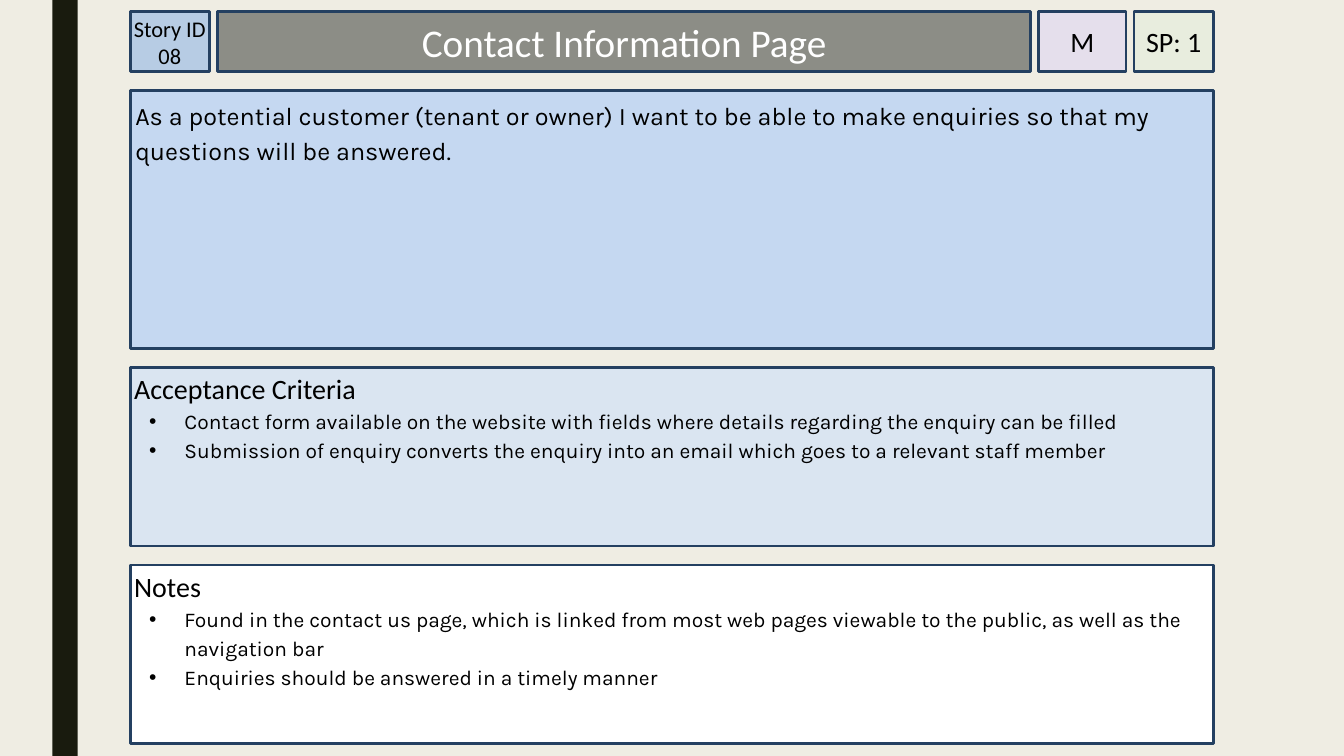
from lxml.etree import SubElement
from pptx import Presentation
from pptx.dml.color import RGBColor as RGB
from pptx.enum.shapes import MSO_SHAPE as Shape
from pptx.enum.text import MSO_ANCHOR as Anchor, PP_ALIGN as Align
from pptx.oxml.ns import qn
from pptx.util import Cm, Pt

PAPER = RGB(0xEF, 0xED, 0xE3)
DARK = RGB(0x19, 0x1B, 0x0E)
NAVY = RGB(0x24, 0x40, 0x61)
BLACK = RGB(0, 0, 0)
WHITE = RGB(0xFF, 0xFF, 0xFF)
STEEL = RGB(0xB7, 0xCC, 0xE4)
GREY = RGB(0x8C, 0x8D, 0x86)
LILAC = RGB(0xE5, 0xDF, 0xEC)
GREEN = RGB(0xCC, 0xF0, 0xCD)
BLUE = RGB(0xC5, 0xD8, 0xF1)
PALE = RGB(0xDA, 0xE5, 0xF1)

# Text formats; the two-line ID is set smaller to fit its cell
CODE = {"name": "Calibri", "size": Pt(16)}
LABEL = {"name": "Calibri", "size": Pt(20)}
TITLE = {"name": "Calibri", "size": Pt(28)}
STORY = {"name": "Karla", "size": Pt(18)}
ITEM = {"name": "Karla", "size": Pt(15)}

# Header cells: width, fill, text, format, text colour, inset
HEAD = [
    (2, STEEL, "Story ID 08", CODE, BLACK, 0),
    (20.5, GREY, "Contact Information Page", TITLE, WHITE, 0.13),
    (2.2, LILAC, "M", LABEL, BLACK, 0),
    (2, GREEN, "SP: 1", LABEL, BLACK, 0),
]
# Panels: height, fill, inset, lines of (text, format)
PANELS = [
    (6.5, BLUE, 0.13, [
        ("As a potential customer (tenant or owner) I want to be able to make "
         "enquiries so that my questions will be answered.", STORY)]),
    (4.5, PALE, 0.1, [
        ("Acceptance Criteria", LABEL),
        ("Contact form available on the website with fields where details "
         "regarding the enquiry can be filled", ITEM),
        ("Submission of enquiry converts the enquiry into an email which goes "
         "to a relevant staff member", ITEM)]),
    (4.5, WHITE, 0.1, [
        ("Notes", LABEL),
        ("Found in the contact us page, which is linked from most web pages "
         "viewable to the public, as well as the navigation bar", ITEM),
        ("Enquiries should be answered in a timely manner", ITEM)]),
]
LEFT, TOP, ROW = 3.28, 0.3, 1.5
HGAP, VGAP = 0.2, 0.48

deck = Presentation()
deck.slide_width, deck.slide_height = Cm(33.87), Cm(19.05)
slide = deck.slides.add_slide(deck.slide_layouts[6])
slide.background.fill.solid()
slide.background.fill.fore_color.rgb = PAPER


def add_box(x, y, w, h, fill, line=NAVY):
    box = slide.shapes.add_shape(Shape.RECTANGLE, Cm(x), Cm(y), Cm(w), Cm(h))
    box.shadow.inherit = False
    box.fill.solid()
    box.fill.fore_color.rgb = fill
    if line is None:
        box.line.fill.background()
    else:
        box.line.color.rgb = line
        box.line.width = Pt(2)
    return box


def add_bullet(para):
    props = para._p.get_or_add_pPr()
    props.set("marL", str(Cm(1.27)))
    props.set("indent", str(Cm(-0.89)))
    SubElement(props, qn("a:buFont"), typeface="Arial")
    SubElement(props, qn("a:buChar"), char="•")


def write(box, lines, color, inset, anchor, align):
    frame = box.text_frame
    frame.word_wrap = True
    frame.vertical_anchor = anchor
    for side in ("left", "top", "right", "bottom"):
        setattr(frame, "margin_" + side, Cm(inset))
    for i, (text, style) in enumerate(lines):
        para = frame.add_paragraph() if i else frame.paragraphs[0]
        para.alignment = align
        if style["name"] == "Karla":
            para.line_spacing = 1.15
        if style is ITEM:
            add_bullet(para)
        run = para.add_run()
        run.text = text
        run.font.color.rgb = color
        for key, value in style.items():
            setattr(run.font, key, value)


# Side band
add_box(1.32, 0, 0.64, 19.05, DARK, None)

# Header row
x = LEFT
for w, fill, text, style, color, inset in HEAD:
    cell = add_box(x, TOP, w, ROW, fill)
    write(cell, [(text, style)], color, inset, Anchor.MIDDLE, Align.CENTER)
    x += w + HGAP
wide = x - HGAP - LEFT

# The last cell is mostly see-through
tint = cell.fill._xPr.find(qn("a:solidFill"))[0]
SubElement(tint, qn("a:alpha"), val="20000")

# Stacked panels
y = TOP + ROW + VGAP
for h, fill, inset, lines in PANELS:
    panel = add_box(LEFT, y, wide, h, fill)
    write(panel, lines, BLACK, inset, Anchor.TOP, Align.LEFT)
    y += h + VGAP

deck.save("out.pptx")
